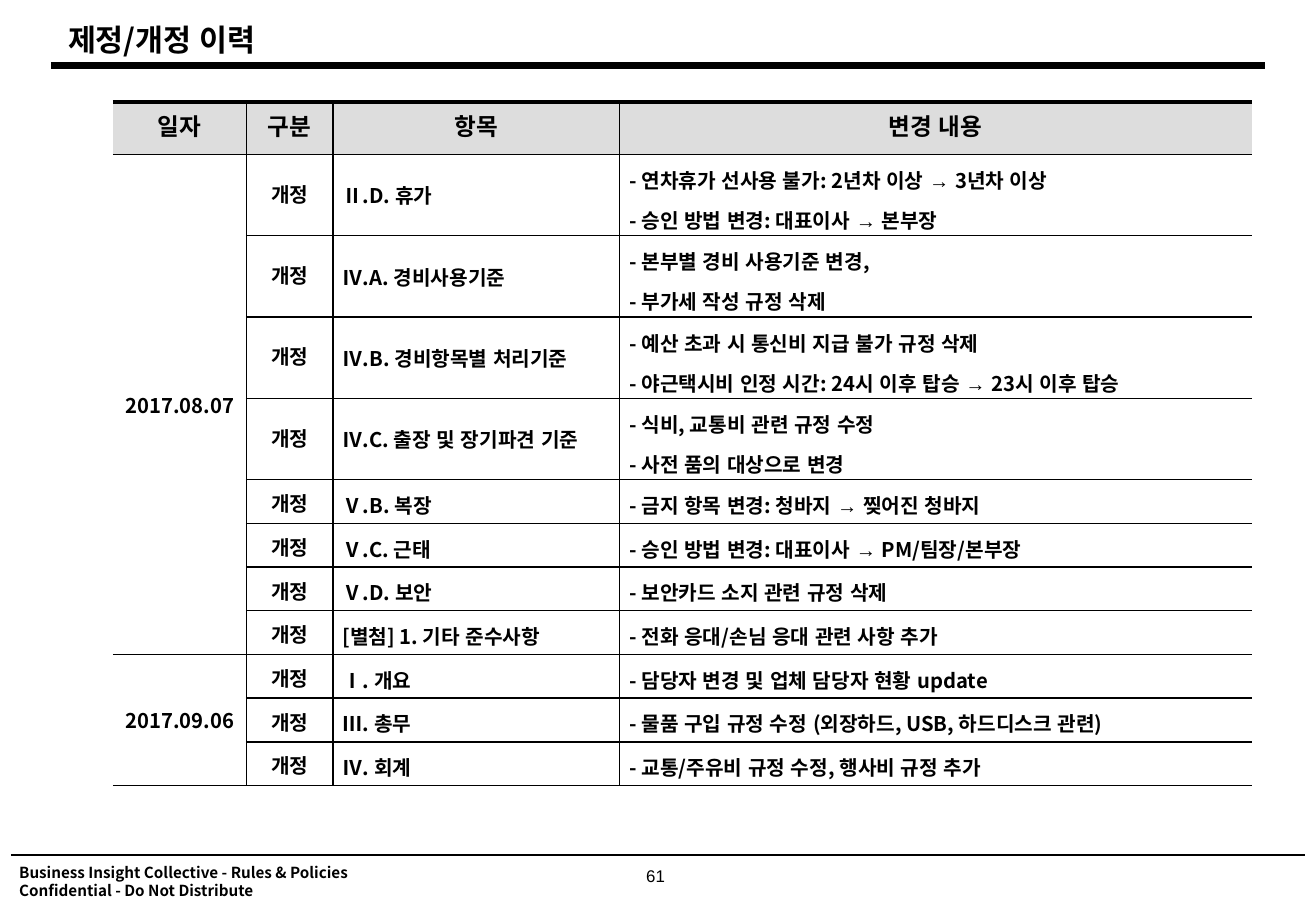
from lxml.etree import SubElement
from pptx import Presentation
from pptx.dml.color import RGBColor
from pptx.enum.shapes import MSO_CONNECTOR as Connector
from pptx.enum.text import MSO_ANCHOR as Anchor, PP_ALIGN as Align
from pptx.oxml.ns import qn
from pptx.util import Inches, Pt

COLORS = {"ink": "000000", "header": "DDDDDD"}
KOREAN_FONT = "Noto Sans CJK KR"
EAST_ASIAN_FONT = "Arial"
HEADERS = ["일자", "구분", "항목", "변경 내용"]
COLUMN_WIDTHS = [1.1, 0.71, 2.36, 5.2]
HEADER_HEIGHT = 0.43
ROW_HEIGHTS = {1: 0.36, 2: 0.67}
REVISIONS = {
    "2017.08.07": [
        ("Ⅱ.D. 휴가", ["- 연차휴가 선사용 불가: 2년차 이상 → 3년차 이상",
                     "- 승인 방법 변경: 대표이사 → 본부장"]),
        ("Ⅳ.A. 경비사용기준", ["- 본부별 경비 사용기준 변경,", "- 부가세 작성 규정 삭제"]),
        ("Ⅳ.B. 경비항목별 처리기준", ["- 예산 초과 시 통신비 지급 불가 규정 삭제",
                              "- 야근택시비 인정 시간: 24시 이후 탑승 → 23시 이후 탑승"]),
        ("Ⅳ.C. 출장 및 장기파견 기준", ["- 식비, 교통비 관련 규정 수정", "- 사전 품의 대상으로 변경"]),
        ("Ⅴ.B. 복장", ["- 금지 항목 변경: 청바지 → 찢어진 청바지"]),
        ("Ⅴ.C. 근태", ["- 승인 방법 변경: 대표이사 → PM/팀장/본부장"]),
        ("Ⅴ.D. 보안", ["- 보안카드 소지 관련 규정 삭제"]),
        ("[별첨] 1. 기타 준수사항", ["- 전화 응대/손님 응대 관련 사항 추가"]),
    ],
    "2017.09.06": [
        ("Ⅰ. 개요", ["- 담당자 변경 및 업체 담당자 현황 update"]),
        ("Ⅲ. 총무", ["- 물품 구입 규정 수정 (외장하드, USB, 하드디스크 관련)"]),
        ("Ⅳ. 회계", ["- 교통/주유비 규정 수정, 행사비 규정 추가"]),
    ],
}


def write_text(frame, lines, size, font=KOREAN_FONT, bold=True, align=Align.LEFT,
               gap=0, line_spacing=None):
    for index, line in enumerate(lines):
        paragraph = frame.add_paragraph() if index else frame.paragraphs[0]
        paragraph.alignment = align
        paragraph.space_before = Pt(gap if index else 0)
        if line_spacing:
            paragraph.line_spacing = line_spacing
        run = paragraph.add_run()
        run.text = line
        run.font.size = Pt(size)
        run.font.bold = bold
        run.font.name = font
        run.font.color.rgb = RGBColor.from_string(COLORS["ink"])
        SubElement(run.font._element, qn("a:ea"), typeface=EAST_ASIAN_FONT)


def add_rule(slide, left, top, width, weight):
    rule = slide.shapes.add_connector(
        Connector.STRAIGHT, Inches(left), Inches(top), Inches(left + width), Inches(top))
    rule.line.color.rgb = RGBColor.from_string(COLORS["ink"])
    rule.line.width = Pt(weight)
    SubElement(rule._element.spPr, qn("a:effectLst"))


def add_label(slide, box, lines, size, **text_format):
    shape = slide.shapes.add_textbox(*map(Inches, box))
    shape.text_frame.word_wrap = False
    write_text(shape.text_frame, lines, size, **text_format)


def set_borders(cell, weights):
    properties = cell._tc.get_or_add_tcPr()
    for position, (side, weight) in enumerate(weights.items()):
        line = SubElement(properties, qn(f"a:{side}"), w=str(Pt(weight)))
        if weight:
            fill = SubElement(line, qn("a:solidFill"))
            SubElement(fill, qn("a:srgbClr"), val=COLORS["ink"])
        else:
            SubElement(line, qn("a:noFill"))
        properties.insert(position, line)


def top_inset(height, row, column):
    if row == 0:
        return 0.1
    if height == ROW_HEIGHTS[2]:
        return 0.08 if column == len(HEADERS) - 1 else 0
    return 0.05 if column else 0


def format_cell(cell, height, row, column):
    header = row == 0
    if header:
        cell.fill.solid()
        cell.fill.fore_color.rgb = RGBColor.from_string(COLORS["header"])
    else:
        cell.fill.background()
    cell.vertical_anchor = Anchor.TOP if header else Anchor.MIDDLE
    cell.margin_left = cell.margin_right = Inches(0.1 if header else 0.08)
    cell.margin_top = Inches(top_inset(height, row, column))
    cell.margin_bottom = 0
    set_borders(cell, {
        "lnL": 1 if column else 0,
        "lnR": 1 if column < len(HEADERS) - 1 else 0,
        "lnT": 2.25 if header else 1,
        "lnB": 1,
    })


def add_title(slide, left, top, width, height):
    title = slide.shapes.title
    title.left, title.top, title.width, title.height = map(
        Inches, (left, top, width, height))
    title.text_frame.vertical_anchor = Anchor.MIDDLE
    write_text(title.text_frame, ["제정/개정 이력"], 18)
    add_rule(slide, left - 0.04, top + 0.42, 9.99, 4)


def add_history_table(slide, left, top):
    revisions = [revision for group in REVISIONS.values() for revision in group]
    heights = [HEADER_HEIGHT] + [ROW_HEIGHTS[len(changes)] for _, changes in revisions]
    table = slide.shapes.add_table(
        len(heights), len(HEADERS), Inches(left), Inches(top),
        Inches(sum(COLUMN_WIDTHS)), Inches(sum(heights))).table
    for column, width in zip(table.columns, COLUMN_WIDTHS):
        column.width = Inches(width)
    for row_index, height in enumerate(heights):
        table.rows[row_index].height = Inches(height)
        for column_index in range(len(HEADERS)):
            format_cell(table.cell(row_index, column_index), height, row_index,
                        column_index)
    for column_index, header in enumerate(HEADERS):
        write_text(table.cell(0, column_index).text_frame, [header], 14,
                   font="Arial", align=Align.CENTER)
    for row_index, (item, changes) in enumerate(revisions, 1):
        write_text(table.cell(row_index, 1).text_frame, ["개정"], 12, align=Align.CENTER)
        write_text(table.cell(row_index, 2).text_frame, [item], 12)
        write_text(table.cell(row_index, 3).text_frame, changes, 12, gap=6.3)
    first_row = 1
    for date, group in REVISIONS.items():
        date_cell = table.cell(first_row, 0)
        date_cell.merge(table.cell(first_row + len(group) - 1, 0))
        write_text(date_cell.text_frame, [date], 12, align=Align.CENTER)
        first_row += len(group)


def add_footer(slide, left, top, width):
    add_rule(slide, left, top, width, 1)
    add_label(slide, (left - 0.03, top + 0.02, 3.03, 0.4),
              ["Business Insight Collective - Rules & Policies",
               "Confidential - Do Not Distribute"], 9)
    add_label(slide, (left + 5.12, top + 0.06, 0.37, 0.37), ["61"], 10, font="Arial",
              bold=False, align=Align.CENTER, line_spacing=0.9)


def main():
    presentation = Presentation()
    presentation.slide_width = Inches(10.83)
    presentation.slide_height = Inches(7.5)
    slide = presentation.slides.add_slide(presentation.slide_layouts[5])
    add_title(slide, 0.46, 0.12, 4.1, 0.4)
    add_history_table(slide, 0.93, 0.84)
    add_footer(slide, 0.09, 7.04, 10.65)
    presentation.save("out.pptx")


if __name__ == "__main__":
    main()
